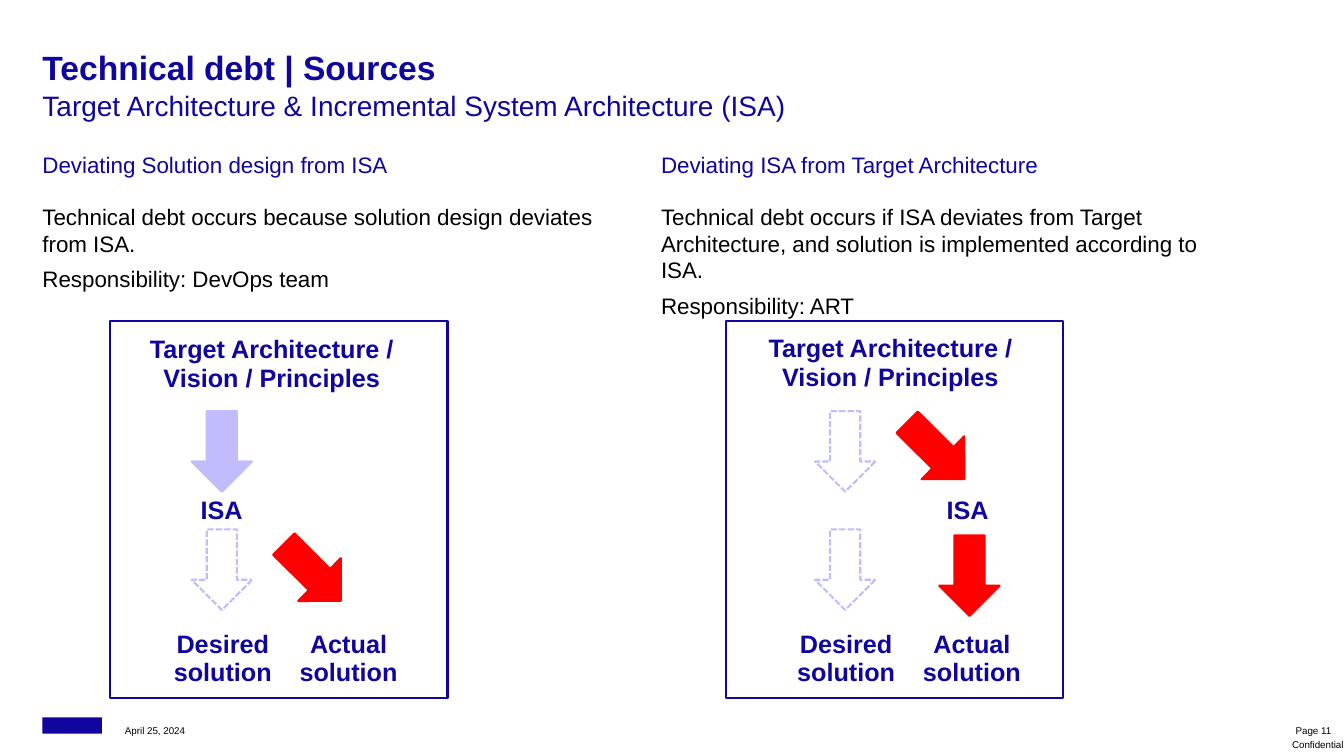
from dataclasses import dataclass

from pptx import Presentation
from pptx.dml.color import RGBColor
from pptx.enum import dml, shapes, text
from pptx.util import Cm, Pt


@dataclass(frozen=True)
class Theme:
    font: str = "Arial"
    navy: RGBColor = RGBColor(0x10, 0x06, 0x9F)
    lilac: RGBColor = RGBColor(0xC1, 0xBD, 0xFC)
    red: RGBColor = RGBColor(0xFF, 0x00, 0x00)
    black: RGBColor = RGBColor(0x00, 0x00, 0x00)
    title: int = 24
    subtitle: int = 20
    label: int = 18
    body: int = 16
    footer: int = 7
    line: float = 1.5


THEME = Theme()


@dataclass(frozen=True)
class Box:
    """Position and size in centimetres."""
    left: float
    top: float
    width: float
    height: float

    def lengths(self) -> tuple:
        return Cm(self.left), Cm(self.top), Cm(self.width), Cm(self.height)


@dataclass(frozen=True)
class Style:
    size: int
    color: RGBColor
    bold: bool = False
    align: text.PP_ALIGN = text.PP_ALIGN.LEFT
    spacing: float = 1.0
    after: float = 6


SUBTITLE = Style(THEME.subtitle, THEME.navy)
HEADING = Style(THEME.body, THEME.navy)
BODY = Style(THEME.body, THEME.black)
LABEL = Style(THEME.label, THEME.navy, True, text.PP_ALIGN.CENTER, 0.95, 7.4)
DATE = Style(THEME.footer, THEME.black, spacing=1.1, after=0)
PAGE = Style(THEME.footer, THEME.black, False, text.PP_ALIGN.RIGHT, 1.1, 0)
NOTICE = Style(THEME.footer, THEME.black, False, text.PP_ALIGN.RIGHT, 0.95, 0)


@dataclass(frozen=True)
class Arrow:
    """An arrow placed relative to the left edge of its flow."""
    left: float
    top: float
    color: RGBColor
    rotation: float = 180
    planned: bool = False


@dataclass(frozen=True)
class Panel:
    column_left: float
    frame_left: float
    flow_left: float
    target_left: float
    target_top: float
    isa_left: float
    heading: str
    body: tuple[str, ...]
    arrows: tuple[Arrow, ...]


UPPER, LOWER = 10.36, 13.34
DESIRED, DEVIATING = 0.74, 3.02
TILT = 134.8

PANELS = (
    Panel(1.07, 2.77, 4.09, 3.61, 8.46, 0.48,
          "Deviating Solution design from ISA",
          ("Technical debt occurs because solution design deviates from ISA.",
           "Responsibility: DevOps team"),
          (Arrow(DESIRED, UPPER, THEME.lilac),
           Arrow(DESIRED, LOWER, THEME.lilac, planned=True),
           Arrow(DEVIATING, 13.41, THEME.red, TILT))),
    Panel(16.66, 18.29, 19.8, 19.2, 8.43, 3.57,
          "Deviating ISA from Target Architecture",
          ("Technical debt occurs if ISA deviates from Target Architecture, "
           "and solution is implemented according to ISA.",
           "Responsibility: ART"),
          (Arrow(DESIRED, UPPER, THEME.lilac, planned=True),
           Arrow(DESIRED, LOWER, THEME.lilac, planned=True),
           Arrow(DEVIATING, 10.34, THEME.red, TILT),
           Arrow(3.87, 13.49, THEME.red))),
)


def write(shape, lines: tuple[str, ...], style: Style,
          anchor=text.MSO_ANCHOR.TOP, wrap: bool = True) -> None:
    """Fill a shape's text frame, without margins, in one style."""
    frame = shape.text_frame
    frame.word_wrap = wrap
    frame.auto_size = (text.MSO_AUTO_SIZE.NONE if wrap
                       else text.MSO_AUTO_SIZE.SHAPE_TO_FIT_TEXT)
    frame.vertical_anchor = anchor
    frame.margin_left = frame.margin_right = 0
    frame.margin_top = frame.margin_bottom = 0
    frame.text = "\n".join(lines)
    for paragraph in frame.paragraphs:
        paragraph.alignment = style.align
        paragraph.line_spacing = style.spacing
        paragraph.space_before = Pt(0)
        paragraph.space_after = Pt(style.after)
        font = paragraph.font
        font.name, font.size, font.bold = THEME.font, Pt(style.size), style.bold
        font.color.rgb = style.color


def add_text(slide, box: Box, lines: tuple[str, ...], style: Style,
             anchor=text.MSO_ANCHOR.TOP, wrap: bool = True):
    shape = slide.shapes.add_textbox(*box.lengths())
    write(shape, lines, style, anchor, wrap)
    return shape


def add_outlined(slide, kind: shapes.MSO_SHAPE, box: Box, color: RGBColor,
                 filled: bool):
    shape = slide.shapes.add_shape(kind, *box.lengths())
    shape.shadow.inherit = False
    if filled:
        shape.fill.solid()
        shape.fill.fore_color.rgb = color
    else:
        shape.fill.background()
    shape.line.color.rgb = color
    shape.line.width = Pt(THEME.line)
    return shape


def add_arrow(slide, arrow: Arrow, flow_left: float) -> None:
    box = Box(flow_left + arrow.left, arrow.top, 1.52, 2.03)
    shape = add_outlined(slide, shapes.MSO_SHAPE.UP_ARROW, box, arrow.color,
                         not arrow.planned)
    shape.rotation = arrow.rotation
    if arrow.planned:
        shape.line.dash_style = dml.MSO_LINE.SQUARE_DOT


def add_panel(slide, panel: Panel) -> None:
    flow = panel.flow_left
    add_text(slide, Box(panel.column_left, 3.81, 14.55, 0.79),
             (panel.heading,), HEADING)
    add_text(slide, Box(panel.column_left, 5.11, 14.55, 11.71),
             panel.body, BODY)
    labels = (
        ("Target Architecture / Vision / Principles",
         Box(panel.target_left, panel.target_top, 6.48, 1.47)),
        ("ISA", Box(flow + panel.isa_left, 12.52, 2.03, 0.74)),
        ("Desired solution", Box(flow, 15.88, 3.05, 1.47)),
        ("Actual solution", Box(flow + 3.17, 15.88, 3.05, 1.47)),
    )
    for label, box in labels:
        add_text(slide, box, (label,), LABEL)
    for arrow in panel.arrows:
        add_arrow(slide, arrow, flow)
    add_outlined(slide, shapes.MSO_SHAPE.RECTANGLE,
                 Box(panel.frame_left, 8.1, 8.51, 9.5), THEME.navy, False)


def add_footer(slide) -> None:
    mark = slide.shapes.add_shape(shapes.MSO_SHAPE.RECTANGLE,
                                  *Box(1.07, 18.08, 1.5, 0.41).lengths())
    mark.shadow.inherit = False
    mark.fill.solid()
    mark.fill.fore_color.rgb = THEME.navy
    mark.line.fill.background()
    bottom = text.MSO_ANCHOR.BOTTOM
    add_text(slide, Box(3.15, 18.17, 3, 0.38), ("April 25, 2024",), DATE, bottom)
    add_text(slide, Box(31.75, 18.17, 1.8, 0.38), ("Page 11",), PAGE, bottom)
    add_text(slide, Box(31.93, 18.49, 1.93, 0.56), ("Confidential",), NOTICE,
             text.MSO_ANCHOR.MIDDLE, wrap=False)


def main() -> None:
    presentation = Presentation()
    presentation.slide_width, presentation.slide_height = Cm(33.87), Cm(19.05)
    slide = presentation.slides.add_slide(presentation.slide_layouts[5])
    title = slide.shapes.title
    title.left, title.top, title.width, title.height = Box(
        1.07, 1.19, 30.18, 1.04).lengths()
    write(title, ("Technical debt | Sources",),
          Style(THEME.title, THEME.navy, bold=True))
    add_text(slide, Box(1.07, 2.24, 30.18, 1.04),
             ("Target Architecture & Incremental System Architecture (ISA)",),
             SUBTITLE)
    for panel in PANELS:
        add_panel(slide, panel)
    add_footer(slide)
    presentation.save("out.pptx")


if __name__ == "__main__":
    main()
